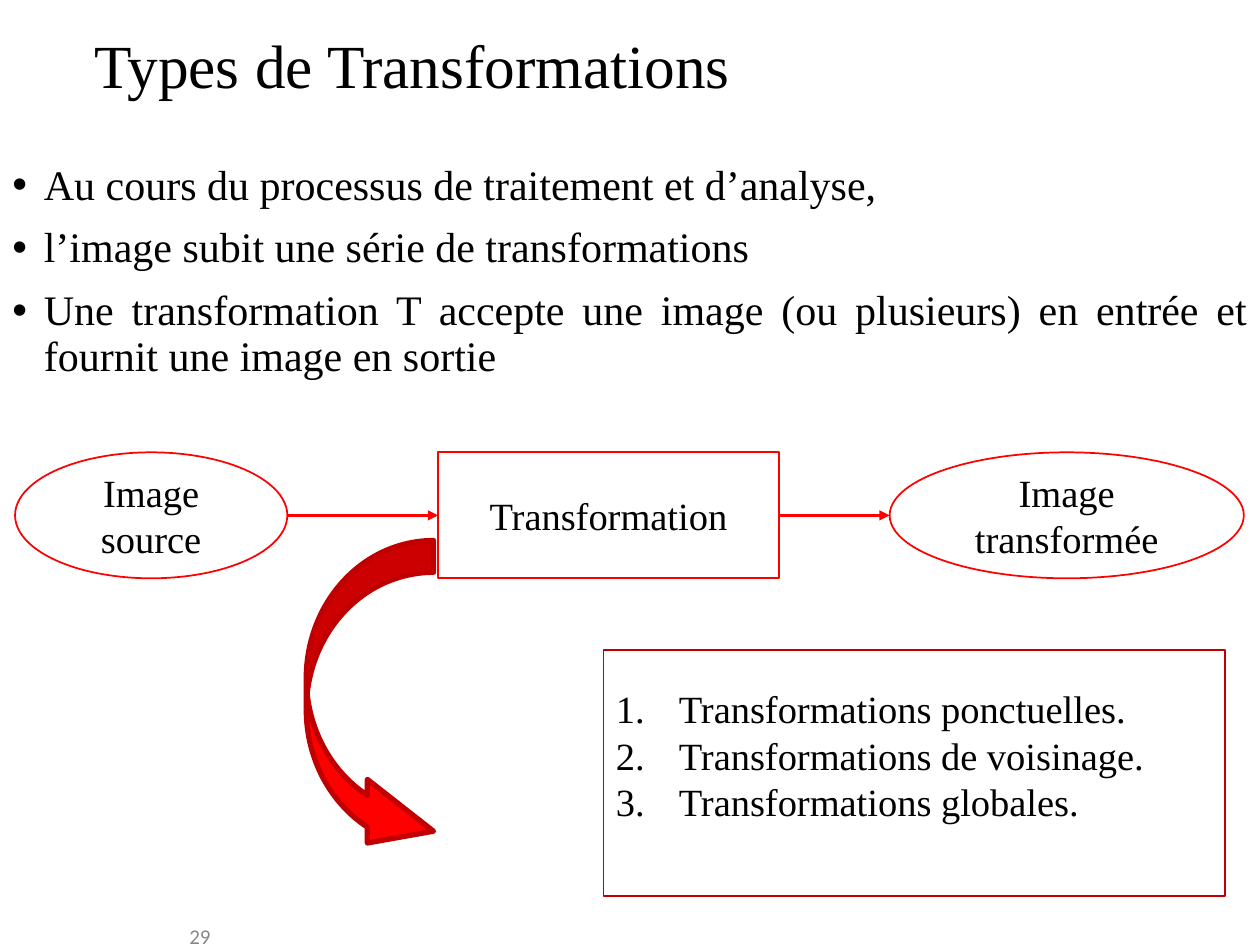
from dataclasses import dataclass

from lxml.etree import SubElement
from pptx import Presentation
from pptx.dml.color import RGBColor
from pptx.enum.shapes import MSO_CONNECTOR as CONN, MSO_SHAPE as SHAPE
from pptx.enum.text import MSO_ANCHOR as ANCHOR, PP_ALIGN as ALIGN
from pptx.oxml.ns import qn
from pptx.util import Pt

SERIF = "Times New Roman"
RED, DARK_RED, WHITE, BLACK, GREY = "FF0000", "C00000", "FFFFFF", "000000", "888888"
FLOW_TOP, FLOW_HEIGHT = 258.5, 72
FLOW_MIDDLE = FLOW_TOP + FLOW_HEIGHT / 2


@dataclass
class Box:
    left: float
    top: float
    width: float
    height: float

    def lengths(self):
        return [Pt(v) for v in (self.left, self.top, self.width, self.height)]


@dataclass
class TextStyle:
    size: float
    font: str = SERIF
    color: str = BLACK
    align: ALIGN = ALIGN.LEFT
    anchor: ANCHOR = ANCHOR.MIDDLE
    line_spacing: float = 1.0
    space_before: float = 0
    bullet: str = ""
    numbered: bool = False
    indent: float = 0


@dataclass
class FlowStep:
    kind: SHAPE
    left: float
    width: float
    label: str


def rgb(color: str) -> RGBColor:
    return RGBColor.from_string(color)


def add_bullet(p, style: TextStyle) -> None:
    """Give the paragraph a hanging bullet or automatic number."""
    pPr = p._p.get_or_add_pPr()
    pPr.set("marL", str(Pt(style.indent)))
    pPr.set("indent", str(-Pt(style.indent)))
    SubElement(SubElement(pPr, qn("a:buClr")), qn("a:srgbClr")).set("val", BLACK)
    if style.numbered:
        SubElement(pPr, qn("a:buFont")).set("typeface", "+mj-lt")
        SubElement(pPr, qn("a:buAutoNum")).set("type", "arabicPeriod")
    else:
        SubElement(pPr, qn("a:buFont")).set("typeface", "Arial")
        SubElement(pPr, qn("a:buChar")).set("char", style.bullet)


def write(sp, lines: list[str], style: TextStyle) -> None:
    tf = sp.text_frame
    tf.text = "\n".join(lines)
    tf.word_wrap = True
    tf.vertical_anchor = style.anchor
    for i, p in enumerate(tf.paragraphs):
        p.alignment = style.align
        p.line_spacing = style.line_spacing
        p.space_before = Pt(style.space_before if i else 0)
        if style.indent:
            add_bullet(p, style)
        for r in p.runs:
            r.font.size = Pt(style.size)
            r.font.name = style.font
            r.font.color.rgb = rgb(style.color)


def add_text(s, box: Box, lines: list[str], style: TextStyle) -> None:
    write(s.shapes.add_textbox(*box.lengths()), lines, style)


def add_outlined(s, kind: SHAPE, box: Box, line: str, fill: str = WHITE, weight: float = 1):
    sp = s.shapes.add_shape(kind, *box.lengths())
    sp.shadow.inherit = False
    sp.fill.solid()
    sp.fill.fore_color.rgb = rgb(fill)
    sp.line.color.rgb = rgb(line)
    sp.line.width = Pt(weight)
    return sp


def add_arrow(s, start: float, end: float):
    cx = s.shapes.add_connector(CONN.STRAIGHT, Pt(start), Pt(FLOW_MIDDLE), Pt(end), Pt(FLOW_MIDDLE))
    cx.line.color.rgb = rgb(RED)
    cx.line.width = Pt(1.5)
    SubElement(cx.line._get_or_add_ln(), qn("a:tailEnd")).set("type", "triangle")
    SubElement(cx._element.spPr, qn("a:effectLst"))
    return cx


def main() -> None:
    prs = Presentation()
    prs.slide_width, prs.slide_height = Pt(720), Pt(540)
    s = prs.slides.add_slide(prs.slide_layouts[6])

    add_text(s, Box(46.8, 8.6, 620.6, 61.2), ["Types de Transformations"],
             TextStyle(35, line_spacing=0.9))
    add_text(s, Box(0, 90, 720, 439), [
        "Au cours du processus de traitement et d’analyse,",
        "l’image subit une série de transformations",
        "Une transformation T accepte une image (ou plusieurs) en entrée et fournit une image en sortie",
    ], TextStyle(24, align=ALIGN.JUSTIFY, anchor=ANCHOR.TOP, line_spacing=0.9,
                 space_before=10, bullet="•", indent=18))
    add_text(s, Box(-34.6, 520.6, 162, 28.8), ["29"],
             TextStyle(12, "Calibri", GREY, ALIGN.RIGHT))

    source = FlowStep(SHAPE.OVAL, 8.6, 155.6, "Image source")
    transform = FlowStep(SHAPE.RECTANGLE, 250.4, 194.6, "Transformation")
    result = FlowStep(SHAPE.OVAL, 508.4, 202.4, "Image transformée")
    shapes = []
    for step in (source, transform, result):
        sp = add_outlined(s, step.kind, Box(step.left, FLOW_TOP, step.width, FLOW_HEIGHT), RED)
        write(sp, [step.label], TextStyle(22, align=ALIGN.CENTER))
        shapes.append(sp)
    transform_sp = shapes[1]
    add_arrow(s, source.left + source.width, transform.left).end_connect(transform_sp, 1)
    add_arrow(s, transform.left + transform.width, result.left).begin_connect(transform_sp, 3)

    kinds = add_outlined(s, SHAPE.RECTANGLE, Box(344.9, 371.5, 355, 140.4), DARK_RED)
    write(kinds, ["Transformations ponctuelles.", "Transformations de voisinage.",
                  "Transformations globales."], TextStyle(22, numbered=True, indent=36))
    kinds.text_frame.margin_bottom = Pt(24.5)

    curve = add_outlined(s, SHAPE.CURVED_RIGHT_ARROW, Box(175, 308.9, 72.7, 184.3),
                         DARK_RED, RED, 3)
    for i, value in enumerate((0.25, 0.5, 0.52)):
        curve.adjustments[i] = value

    prs.save("out.pptx")


if __name__ == "__main__":
    main()
